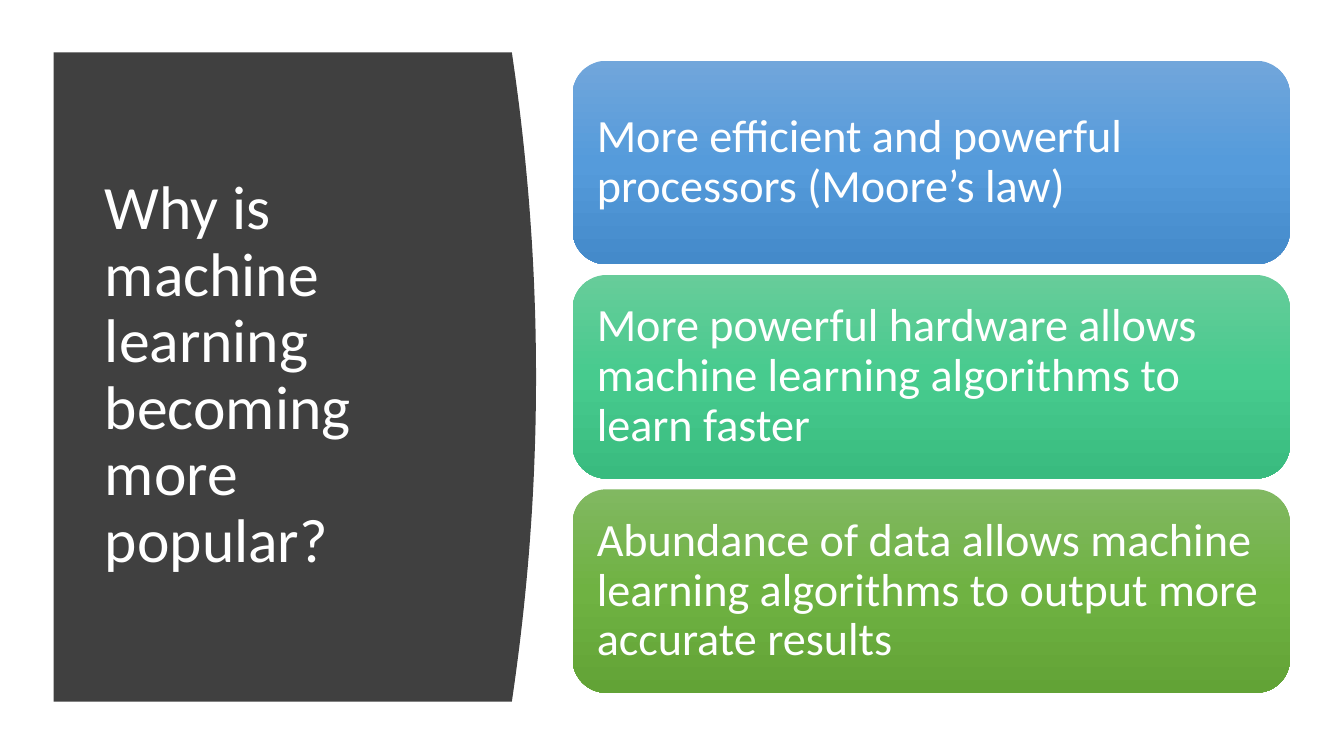
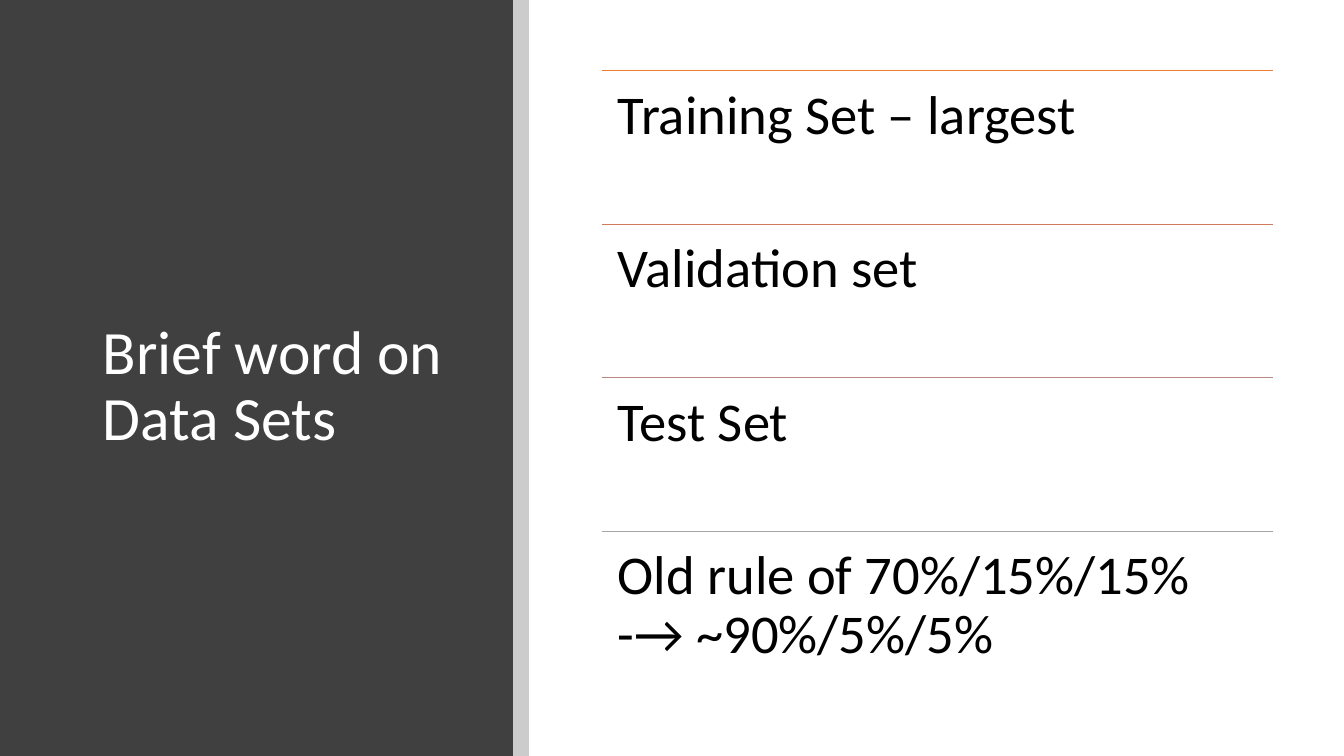
from copy import deepcopy

from lxml import etree
from pptx import Presentation
from pptx import util as u
from pptx.dml.color import RGBColor
from pptx.enum import shapes, text
from pptx.oxml.ns import qn


def rgb(value):
    return RGBColor.from_string(value)


class Deck:
    FONT = "Calibri"
    DARK = "404040"
    LIGHT = "FFFFFF"
    BLACK = "000000"

    def __init__(self):
        self.presentation = Presentation()
        self.presentation.slide_width = u.Cm(33.87)
        self.presentation.slide_height = u.Cm(19.05)
        self.slide = None

    def new_slide(self, heading, left, top, width, height):
        self.slide = self.presentation.slides.add_slide(self.presentation.slide_layouts[5])
        title = self.slide.shapes.title
        title.left, title.top = u.Cm(left), u.Cm(top)
        title.width, title.height = u.Cm(width), u.Cm(height)
        self.set_words(title.text_frame, heading, 44, self.LIGHT, text.MSO_ANCHOR.MIDDLE)

    def set_words(self, frame, words, size, color, anchor, inset=None):
        frame.word_wrap = True
        frame.auto_size = text.MSO_AUTO_SIZE.NONE
        frame.vertical_anchor = anchor
        if inset is not None:
            frame.margin_left = frame.margin_right = u.Cm(inset)
            frame.margin_top = frame.margin_bottom = u.Cm(inset)
        frame.text = words
        paragraph = frame.paragraphs[0]
        paragraph.alignment = text.PP_ALIGN.LEFT
        paragraph.line_spacing = 0.9
        paragraph.font.name = self.FONT
        paragraph.font.size = u.Pt(size)
        paragraph.font.color.rgb = rgb(color)

    def send_behind_title(self, panel, color):
        panel.shadow.inherit = False
        panel.fill.solid()
        panel.fill.fore_color.rgb = rgb(color)
        panel.line.fill.background()
        self.slide.shapes.title.element.addprevious(panel.element)

    def band(self, left, width, color, opacity=100):
        band = self.slide.shapes.add_shape(
            shapes.MSO_SHAPE.RECTANGLE, u.Cm(left), 0, u.Cm(width), self.presentation.slide_height)
        self.send_behind_title(band, color)
        if opacity < 100:
            tone = band.element.spPr.find(qn("a:solidFill"))[0]
            etree.SubElement(tone, qn("a:alpha")).set("val", str(opacity * 1000))

    def curved_panel(self, left, top, right, bottom, bulge, steps=48):
        builder = self.slide.shapes.build_freeform(u.Cm(left), u.Cm(top))
        edge = []
        for step in range(steps + 1):
            t = step / steps
            x = right + bulge * 4 * t * (1 - t)
            edge.append((u.Cm(x), u.Cm(top + (bottom - top) * t)))
        builder.add_line_segments(edge + [(u.Cm(left), u.Cm(bottom))])
        self.send_behind_title(builder.convert_to_shape(), self.DARK)

    def card(self, words, tones, left, top, width, height):
        card = self.slide.shapes.add_shape(
            shapes.MSO_SHAPE.ROUNDED_RECTANGLE, u.Cm(left), u.Cm(top), u.Cm(width), u.Cm(height))
        card.shadow.inherit = False
        card.line.fill.background()
        card.fill.gradient()
        card.fill.gradient_angle = 270
        stop_list = card.element.spPr.find(qn("a:gradFill")).find(qn("a:gsLst"))
        stop_list.append(deepcopy(stop_list[-1]))
        for stop, position, tone in zip(card.fill.gradient_stops, (0, 0.5, 1), tones):
            stop.position = position
            stop.color.rgb = rgb(tone)
        self.set_words(card.text_frame, words, 33, self.LIGHT, text.MSO_ANCHOR.MIDDLE, 0.36)

    def ruled_row(self, words, rule_color, left, top, width, height):
        rule = self.slide.shapes.add_connector(
            shapes.MSO_CONNECTOR.STRAIGHT, u.Cm(left), u.Cm(top), u.Cm(left + width), u.Cm(top))
        rule.line.color.rgb = rgb(rule_color)
        rule.line.width = u.Pt(1)
        etree.SubElement(rule.element.spPr, qn("a:effectLst"))
        entry = self.slide.shapes.add_textbox(u.Cm(left), u.Cm(top), u.Cm(width), u.Cm(height))
        self.set_words(entry.text_frame, words, 39, self.BLACK, text.MSO_ANCHOR.TOP, 0.41)


def reasons_slide(deck):
    deck.new_slide("Why is machine learning becoming more popular?", 2.39, 2.82, 9.5, 13.31)
    deck.curved_panel(1.35, 1.32, 12.9, 17.68, 0.61)
    reasons = [
        ("More efficient and powerful processors (Moore’s law)",
         ("71A6DB", "559BDB", "448ACA")),
        ("More powerful hardware allows machine learning algorithms to learn faster",
         ("67CC9A", "47CB8E", "39BB7F")),
        ("Abundance of data allows machine learning algorithms to output more accurate results",
         ("81B861", "6FB242", "62A336")),
    ]
    height, gap = 5.13, 0.27
    for index, (reason, tones) in enumerate(reasons):
        deck.card(reason, tones, 14.43, 1.53 + index * (height + gap), 18.08, height)


def data_sets_slide(deck):
    deck.new_slide("Brief word on Data Sets", 2.34, 2.26, 9.27, 15.01)
    deck.band(0, 12.93, deck.DARK)
    deck.band(12.93, 0.4, deck.BLACK, opacity=20)
    data_sets = [
        ("Training Set – largest", "ED7D31"),
        ("Validation set", "D17B5C"),
        ("Test Set", "B98A82"),
        ("Old rule of 70%/15%/15% -→ ~90%/5%/5%", "A5A5A5"),
    ]
    height = 3.87
    for index, (data_set, rule_color) in enumerate(data_sets):
        deck.ruled_row(data_set, rule_color, 15.16, 1.78 + index * height, 16.92, height)


def main():
    deck = Deck()
    reasons_slide(deck)
    data_sets_slide(deck)
    deck.presentation.save("out.pptx")


if __name__ == "__main__":
    main()
